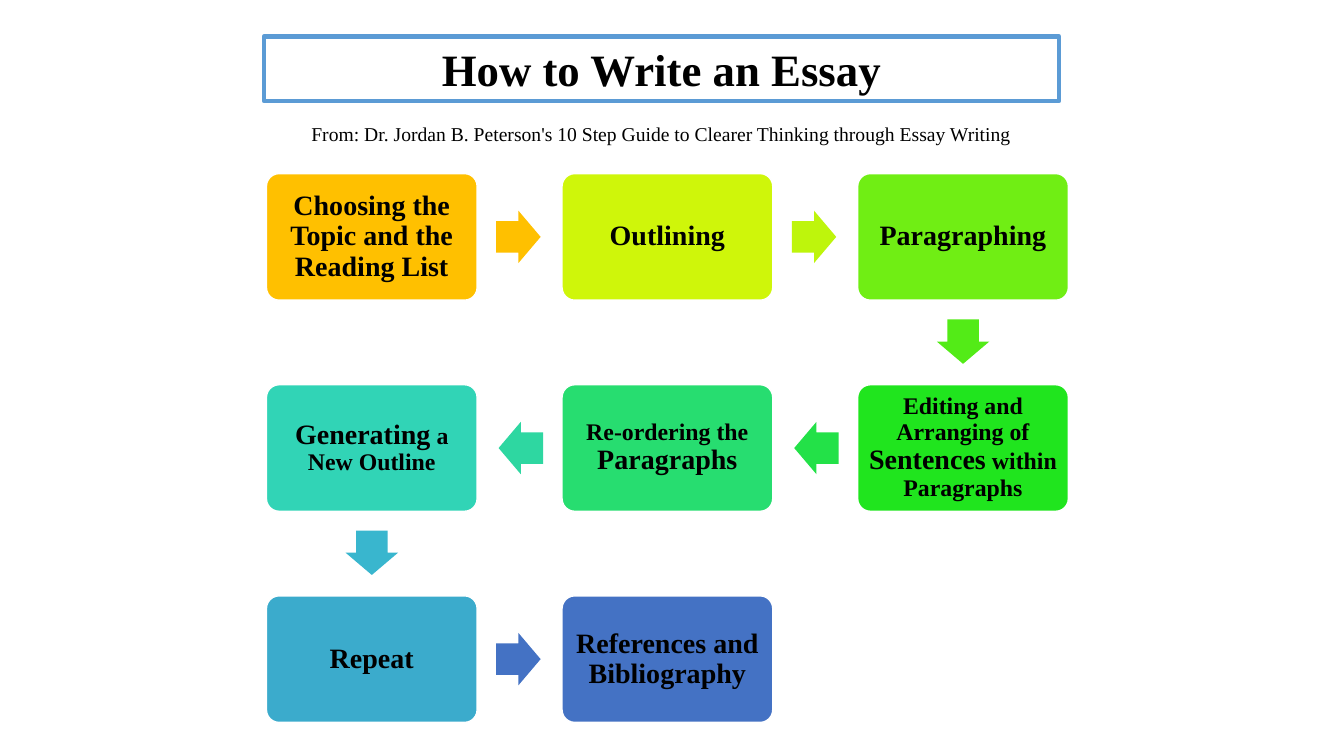
import math
from pptx import Presentation
from pptx import util as u
from pptx.dml.color import RGBColor
from pptx.enum import shapes, text

THEME = {
    "font": "Times New Roman", "ink": "000000", "frame": "5B9BD5", "edge": "FFFFFF",
    "title": 32, "source": 14, "step": 20, "detail": 17,
}


def write(tf, runs, bold=True, inset=None, spacing=1.0):
    """Fill a text frame with one centred paragraph of (text, size name) runs."""
    frame = {"word_wrap": True, "auto_size": text.MSO_AUTO_SIZE.NONE,
             "vertical_anchor": text.MSO_ANCHOR.MIDDLE}
    if inset:
        frame.update({f"margin_{side}": u.Cm(inset) for side in ("left", "top", "right", "bottom")})
    for name, value in frame.items():
        setattr(tf, name, value)
    p = tf.paragraphs[0]
    p.alignment, p.line_spacing = text.PP_ALIGN.CENTER, spacing
    for words, size in runs:
        r = p.add_run()
        r.text = words
        for name, value in {"name": THEME["font"], "size": u.Pt(THEME[size]), "bold": bold}.items():
            setattr(r.font, name, value)
        r.font.color.rgb = RGBColor.from_string(THEME["ink"])


def add_block(s, kind, center, size, color, adjustments):
    """Add a filled preset shape around a centre point, in centimetres."""
    (x, y), (w, h) = center, size
    sp = s.shapes.add_shape(kind, u.Cm(x - w / 2), u.Cm(y - h / 2), u.Cm(w), u.Cm(h))
    sp.shadow.inherit = False
    sp.fill.solid()
    sp.fill.fore_color.rgb = RGBColor.from_string(color)
    for i, value in enumerate(adjustments):
        sp.adjustments[i] = value
    return sp


prs = Presentation()
prs.slide_width, prs.slide_height = u.Cm(33.87), u.Cm(19.05)
s = prs.slides.add_slide(prs.slide_layouts[5])

# Heading
title = s.shapes.title
heading = {"left": u.Cm(6.65), "top": u.Cm(0.92), "width": u.Cm(20.04), "height": u.Cm(1.63)}
for name, value in heading.items():
    setattr(title, name, value)
title.line.color.rgb = RGBColor.from_string(THEME["frame"])
title.line.width = u.Pt(3)
write(title.text_frame, [("How to Write an Essay", "title")])

source = s.shapes.add_textbox(title.left, u.Cm(2.95), title.width, u.Cm(0.86))
write(source.text_frame, [("From: Dr. Jordan B. Peterson's 10 Step Guide to Clearer Thinking "
                           "through Essay Writing", "source")], bold=False)

# Steps: text runs, box colour, colour of the arrow to the next step
steps = [
    ([("Choosing the Topic and the Reading List", "step")], "FFC000", "FFC000"),
    ([("Outlining", "step")], "CFF60A", "BEF50C"),
    ([("Paragraphing", "step")], "70EE14", "53EB17"),
    ([("Editing and Arranging of ", "detail"), ("Sentences", "step"),
      (" within Paragraphs", "detail")], "20E51E", "23E148"),
    ([("Re-ordering the ", "detail"), ("Paragraphs", "step")], "27DD70", "2ED7A1"),
    ([("Generating", "step"), (" a New Outline", "detail")], "31D4B6", "39B6CE"),
    ([("Repeat", "step")], "3BABCC", "4472C4"),
    ([("References and Bibliography", "step")], "4472C4", None),
]
COLUMNS, BOX, ARROW = 3, (5.31, 3.19), (1.12, 1.32)
FIRST, PITCH = (9.37, 5.97), (7.45, 5.32)

# The path snakes: every second row runs right to left
centers = []
for i in range(len(steps)):
    row, col = divmod(i, COLUMNS)
    if row % 2:
        col = COLUMNS - 1 - col
    centers.append((FIRST[0] + col * PITCH[0], FIRST[1] + row * PITCH[1]))

for (runs, color, _), center in zip(steps, centers):
    box = add_block(s, shapes.MSO_SHAPE.ROUNDED_RECTANGLE, center, BOX, color, [0.1])
    box.line.color.rgb = RGBColor.from_string(THEME["edge"])
    box.line.width = u.Pt(1)
    write(box.text_frame, runs, inset=0.19, spacing=0.9)

for (_, _, color), (x, y), (x2, y2) in zip(steps, centers, centers[1:]):
    dx, dy = x2 - x, y2 - y
    middle = (x + dx * 0.496, y + dy * 0.496)
    arrow = add_block(s, shapes.MSO_SHAPE.RIGHT_ARROW, middle, ARROW, color, [0.6, 0.5])
    arrow.line.fill.background()
    arrow.rotation = round(math.degrees(math.atan2(dy, dx)))

prs.save("out.pptx")
